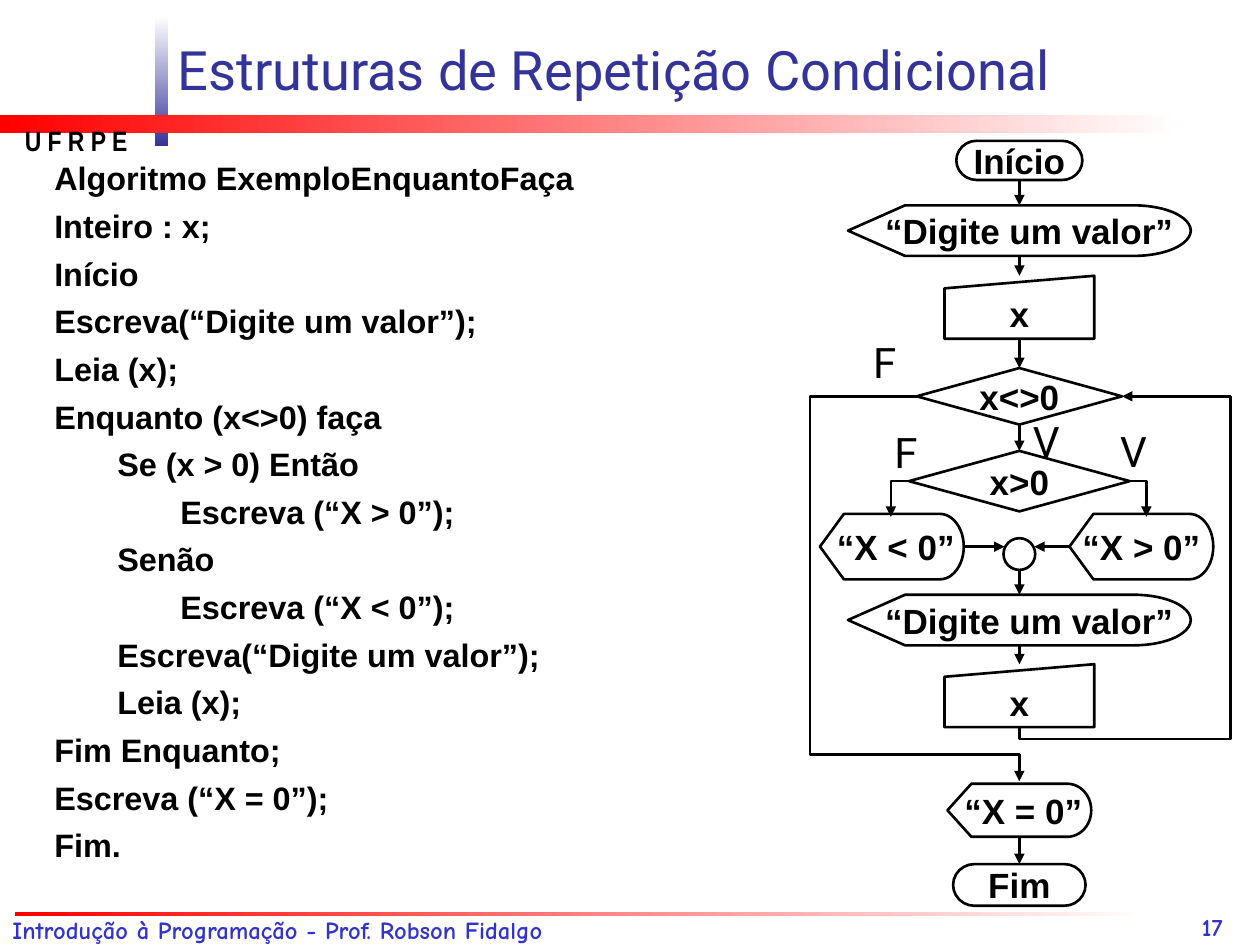
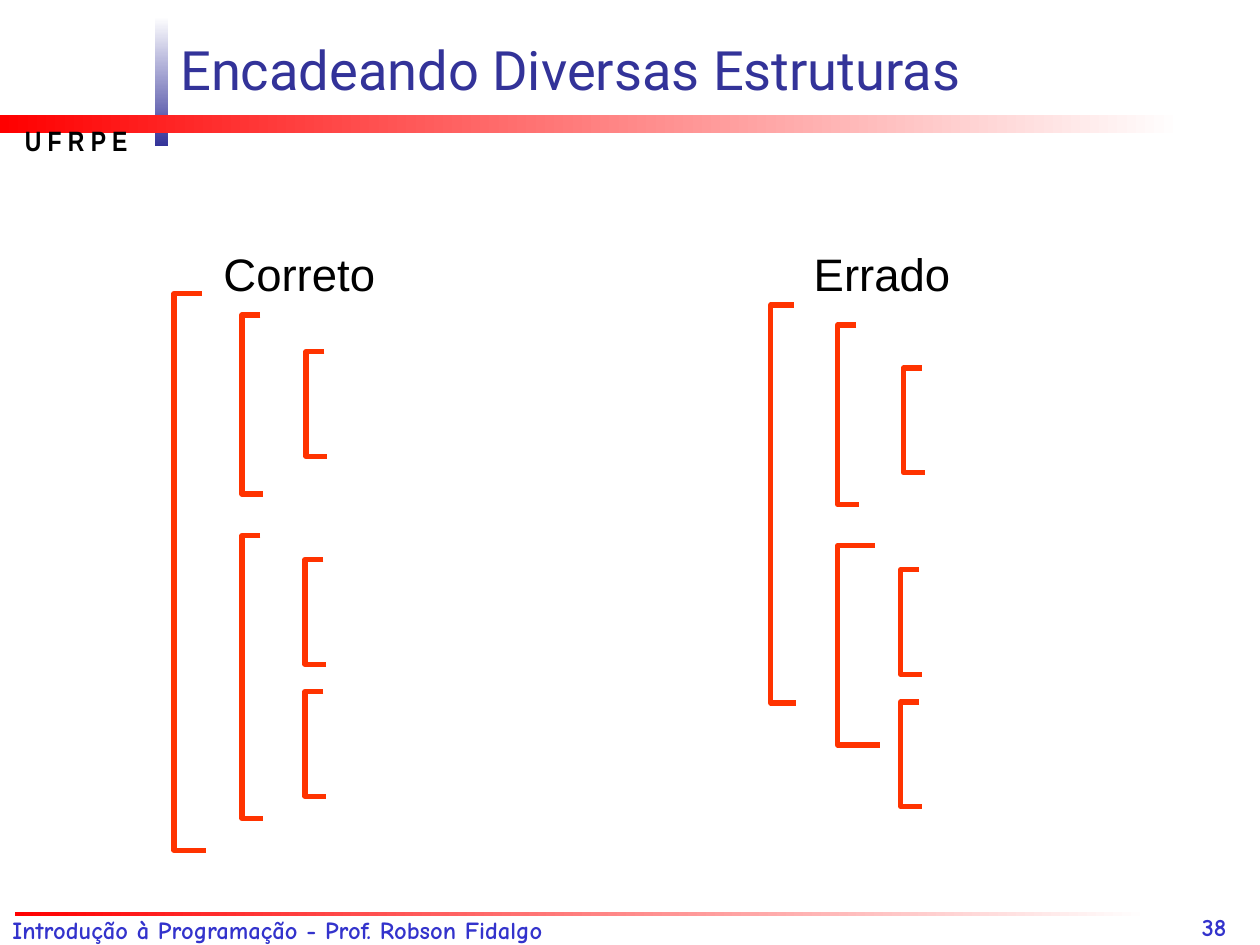
from dataclasses import dataclass

import pptx
import pptx.dml.color
import pptx.enum.shapes
import pptx.enum.text
import pptx.oxml
import pptx.oxml.ns
import pptx.util

Cm = pptx.util.Cm
Pt = pptx.util.Pt
RGBColor = pptx.dml.color.RGBColor
ShapeType = pptx.enum.shapes.MSO_SHAPE
Align = pptx.enum.text.PP_ALIGN
Anchor = pptx.enum.text.MSO_ANCHOR
Slide = pptx.slide.Slide
Box = tuple[float, float, float, float]
Point = tuple[float, float]
TOP, LEFT, BOTTOM, RIGHT = range(4)
ONE_BODY_LAYOUT, TWO_BODIES_LAYOUT = 1, 3


@dataclass(frozen=True)
class TextStyle:
    font: str
    size: float
    color: str = "000000"
    bold: bool = False


@dataclass(frozen=True)
class Theme:
    white: str = "FFFFFF"
    black: str = "000000"
    indigo: str = "333399"
    red: str = "FF0000"
    bracket: str = "FF3300"
    flow_width: float = 1.5
    bracket_width: float = 3
    title: TextStyle = TextStyle("Roboto", 31, "333399")
    code: TextStyle = TextStyle("Arial", 18.5, bold=True)
    heading: TextStyle = TextStyle("Arial", 26)
    node: TextStyle = TextStyle("Arial", 20, bold=True)
    branch: TextStyle = TextStyle("Roboto", 24)
    footer: TextStyle = TextStyle("Comic Neue", 14, "3333CC", True)
    school: TextStyle = TextStyle("Arial Narrow", 16, bold=True)


THEME = Theme()


@dataclass(frozen=True)
class Node:
    """A flowchart step, centred on a vertical axis; lengths in centimetres."""
    kind: ShapeType
    top: float
    width: float
    height: float
    text: str = ""
    center: float = 20.55
    text_shift: float = 0


@dataclass(frozen=True)
class Bracket:
    left: float
    top: float
    bottom: float
    upper_arm: float = 0.37
    lower_arm: float = 0.43


@dataclass(frozen=True)
class ColumnHeading:
    text: str
    box_left: float
    indent: float


AXIS = 20.55
DISPLAY = ShapeType.FLOWCHART_DISPLAY
TERMINATOR = ShapeType.FLOWCHART_TERMINATOR
DECISION = ShapeType.FLOWCHART_DECISION
INPUT = ShapeType.FLOWCHART_MANUAL_INPUT

NODES = {
    "start": Node(TERMINATOR, 2.84, 2.54, 0.79, "Início"),
    "prompt": Node(DISPLAY, 4.14, 6.91, 1.02, "“Digite um valor”", text_shift=0.2),
    "read": Node(INPUT, 5.56, 3.02, 1.27, "x"),
    "loop test": Node(DECISION, 7.42, 4.14, 1.14, "x<>0"),
    "sign test": Node(DECISION, 9.09, 4.45, 1.22, "x>0"),
    "negative": Node(DISPLAY, 10.36, 2.9, 1.32, "“X < 0”", 17.98, 0.08),
    "positive": Node(DISPLAY, 10.36, 2.9, 1.32, "“X > 0”", 23.01),
    "join": Node(ShapeType.FLOWCHART_CONNECTOR, 10.85, 0.64, 0.64),
    "prompt again": Node(DISPLAY, 11.99, 6.91, 1.02, "“Digite um valor”", text_shift=0.2),
    "read again": Node(INPUT, 13.39, 3.02, 1.27, "x"),
    "zero": Node(DISPLAY, 15.8, 2.9, 1.07, "“X = 0”", text_shift=0.08),
    "end": Node(TERMINATOR, 17.42, 2.67, 0.84, "Fim"),
}
DOWN_ARROWS = [
    ("start", "prompt"), ("prompt", "read"), ("read", "loop test"),
    ("loop test", "sign test"), ("prompt again", "read again"), ("zero", "end"),
]
ROUTES: list[list[Point]] = [
    [(AXIS, 14.66), (AXIS, 14.9), (24.81, 14.9), (24.81, 7.99), (22.62, 7.99)],
    [(18.48, 7.99), (16.33, 7.99), (16.33, 15.21), (AXIS, 15.21), (AXIS, 15.75)],
    [(18.33, 9.7), (17.96, 9.7), (17.96, 10.42)],
    [(22.77, 9.7), (23.11, 9.7), (23.11, 10.42)],
]
BRANCH_LABELS = [("V", 22.33, 8.46), ("F", 17.78, 8.48),
                 ("V", 20.57, 8.26), ("F", 17.35, 6.65)]
CODE_LINES = [
    (0, "Algoritmo ExemploEnquantoFaça"),
    (0, "Inteiro : x;"),
    (0, "Início"),
    (0, "Escreva(“Digite um valor”);"),
    (0, "Leia (x);"),
    (0, "Enquanto (x<>0) faça"),
    (1, "Se (x > 0) Então"),
    (2, "Escreva (“X > 0”);"),
    (1, "Senão"),
    (2, "Escreva (“X < 0”);"),
    (1, "Escreva(“Digite um valor”);"),
    (1, "Leia (x);"),
    (0, "Fim Enquanto;"),
    (0, "Escreva (“X = 0”);"),
    (0, "Fim."),
]
COLUMN_HEADINGS = [ColumnHeading("Correto", 0, 4.25), ColumnHeading("Errado", 12.7, 3.45)]
BRACKETS = [
    # Correto
    Bracket(4.88, 6.35, 9.96),
    Bracket(3.51, 5.92, 17.14, 0.56, 0.64),
    Bracket(6.17, 7.09, 9.2),
    Bracket(4.88, 10.8, 16.5),
    Bracket(6.15, 11.28, 13.39),
    Bracket(6.15, 13.94, 16.05),
    # Errado
    Bracket(16.89, 6.55, 10.17),
    Bracket(15.54, 6.15, 14.17, 0.46, 0.51),
    Bracket(18.21, 7.42, 9.53),
    Bracket(16.89, 11, 15.02, 0.74, 0.86),
    Bracket(18.16, 11.48, 13.6),
    Bracket(18.16, 14.15, 16.26),
]


def rgb(color: str) -> RGBColor:
    return RGBColor.from_string(color)


def format_paragraph(paragraph, style: TextStyle) -> None:
    for run in paragraph.runs:
        run.font.name = style.font
        run.font.size = Pt(style.size)
        run.font.bold = style.bold
        run.font.color.rgb = rgb(style.color)


def append_xml(parent, tag: str, **attributes: str) -> None:
    child = pptx.oxml.parse_xml(f"<a:{tag} {pptx.oxml.ns.nsdecls('a')}/>")
    for name, value in attributes.items():
        child.set(name, value)
    parent.append(child)


def style_line(shape, color: str, width: float, arrow: bool = False) -> None:
    shape.line.color.rgb = rgb(color)
    shape.line.width = Pt(width)
    if arrow:
        append_xml(shape.line._get_or_add_ln(), "tailEnd", type="triangle")


def place(shape, box: Box) -> None:
    shape.left, shape.top, shape.width, shape.height = map(Cm, box)


def add_label(slide: Slide, text: str, box: Box, style: TextStyle,
              wrap: bool = False, anchor: Anchor = Anchor.TOP) -> None:
    text_frame = slide.shapes.add_textbox(*map(Cm, box)).text_frame
    text_frame.word_wrap = wrap
    text_frame.vertical_anchor = anchor
    text_frame.text = text
    format_paragraph(text_frame.paragraphs[0], style)


def add_gradient_bar(slide: Slide, box: Box, first: str, last: str, angle: float) -> None:
    bar = slide.shapes.add_shape(ShapeType.RECTANGLE, *map(Cm, box))
    bar.shadow.inherit = False
    bar.line.fill.background()
    bar.fill.gradient()
    bar.fill.gradient_angle = angle
    for stop, color in zip(bar.fill.gradient_stops, (first, last)):
        stop.color.rgb = rgb(color)


def add_themed_slide(presentation, layout: int, title: str, title_left: float,
                     number: int) -> Slide:
    """Add a slide with the shared bands, footer, page number and title."""
    slide = presentation.slides.add_slide(presentation.slide_layouts[layout])
    add_gradient_bar(slide, (3.12, 0.33, 0.26, 2.62), THEME.white, THEME.indigo, 270)
    add_gradient_bar(slide, (0, 2.32, 23.83, 0.36), THEME.red, THEME.white, 0)
    add_gradient_bar(slide, (0.3, 18.39, 22.86, 0.08), THEME.red, THEME.white, 0)
    add_label(slide, "Introdução à Programação - Prof. Robson Fidalgo",
              (0, 18.32, 15.93, 0.86), THEME.footer, wrap=True)
    add_label(slide, "U F R P E", (0.25, 2.36, 2.59, 0.94), THEME.school)
    add_label(slide, str(number), (23.98, 17.83, 2.11, 1.27), THEME.footer,
              wrap=True, anchor=Anchor.BOTTOM)

    heading = slide.shapes.title
    place(heading, (title_left, 0.45, 23.3, 1.73))
    text_frame = heading.text_frame
    text_frame.text = title
    text_frame.auto_size = pptx.enum.text.MSO_AUTO_SIZE.NONE
    text_frame.vertical_anchor = Anchor.BOTTOM
    text_frame.paragraphs[0].alignment = Align.LEFT
    format_paragraph(text_frame.paragraphs[0], THEME.title)
    return slide


def fill_body(body, box: Box, lines: list[tuple[int, str]], style: TextStyle,
              alignment: Align = Align.LEFT, indent: float = 0) -> None:
    """Write unbulleted (level, text) lines in a body placeholder."""
    place(body, box)
    text_frame = body.text_frame
    text_frame.text = "\n".join(text for _, text in lines)
    text_frame.auto_size = pptx.enum.text.MSO_AUTO_SIZE.NONE
    for paragraph, (level, _) in zip(text_frame.paragraphs, lines):
        paragraph.level = level
        paragraph.alignment = alignment
        paragraph.space_before = Pt(5)
        format_paragraph(paragraph, style)
        properties = paragraph._p.get_or_add_pPr()
        properties.set("marL", str(Cm(indent + 1.27 * level)))
        properties.set("indent", "0")
        append_xml(properties, "buNone")


def add_node(slide: Slide, node: Node):
    shape = slide.shapes.add_shape(
        node.kind, Cm(node.center - node.width / 2), Cm(node.top),
        Cm(node.width), Cm(node.height))
    shape.shadow.inherit = False
    shape.fill.solid()
    shape.fill.fore_color.rgb = rgb(THEME.white)
    style_line(shape, THEME.black, THEME.flow_width)
    if node.text:
        text_frame = shape.text_frame
        text_frame.word_wrap = False
        text_frame.vertical_anchor = Anchor.MIDDLE
        text_frame.margin_left = Cm(2 * node.text_shift)
        text_frame.margin_right = text_frame.margin_top = text_frame.margin_bottom = 0
        text_frame.text = node.text
        text_frame.paragraphs[0].alignment = Align.CENTER
        format_paragraph(text_frame.paragraphs[0], THEME.node)
    return shape


def add_arrow(slide: Slide, start: Point = (0, 0), end: Point = (0, 0),
              source=None, source_side: int = BOTTOM, target=None) -> None:
    """Draw a straight arrow; a given source or target shape overrides that end."""
    arrow = slide.shapes.add_connector(
        pptx.enum.shapes.MSO_CONNECTOR.STRAIGHT, *map(Cm, start + end))
    if source is not None:
        arrow.begin_connect(source, source_side)
    if target is not None:
        arrow.end_connect(target, TOP)
    style_line(arrow, THEME.black, THEME.flow_width, arrow=True)
    append_xml(arrow._element.spPr, "effectLst")


def add_polyline(slide: Slide, points: list[Point], color: str, width: float,
                 arrow: bool = False) -> None:
    corners = [(Cm(x), Cm(y)) for x, y in points]
    builder = slide.shapes.build_freeform(*corners[0])
    builder.add_line_segments(corners[1:], close=False)
    shape = builder.convert_to_shape()
    shape.shadow.inherit = False
    shape.fill.background()
    style_line(shape, color, width, arrow)


def add_bracket(slide: Slide, bracket: Bracket) -> None:
    points = [(bracket.left + bracket.upper_arm, bracket.top),
              (bracket.left, bracket.top),
              (bracket.left, bracket.bottom),
              (bracket.left + bracket.lower_arm, bracket.bottom)]
    add_polyline(slide, points, THEME.bracket, THEME.bracket_width)


def build_loop_slide(presentation) -> None:
    slide = add_themed_slide(presentation, ONE_BODY_LAYOUT,
                             "Estruturas de Repetição Condicional", 3.33, 17)
    fill_body(slide.placeholders[1], (0.84, 3.07, 23.93, 15.04), CODE_LINES,
              THEME.code, Align.JUSTIFY)
    shapes = {name: add_node(slide, node) for name, node in NODES.items()}
    for source, target in DOWN_ARROWS:
        add_arrow(slide, source=shapes[source], target=shapes[target])
    add_arrow(slide, start=(AXIS, 11.49), target=shapes["prompt again"])
    add_arrow(slide, end=(20.25, 11.02), source=shapes["negative"], source_side=RIGHT)
    add_arrow(slide, end=(20.85, 11.02), source=shapes["positive"], source_side=LEFT)
    for points in ROUTES:
        add_polyline(slide, points, THEME.black, THEME.flow_width, arrow=True)
    for text, left, top in BRANCH_LABELS:
        add_label(slide, text, (left, top, 1.02, 1.27), THEME.branch)


def build_nesting_slide(presentation) -> None:
    slide = add_themed_slide(presentation, TWO_BODIES_LAYOUT,
                             "Encadeando Diversas Estruturas", 3.38, 38)
    for index, heading in enumerate(COLUMN_HEADINGS, start=1):
        body = slide.placeholders[index]
        fill_body(body, (heading.box_left, 3.18, 12.7, 15.04), [(0, heading.text)],
                  THEME.heading, indent=heading.indent)
        body.text_frame.margin_top = Cm(1.78)
    for bracket in BRACKETS:
        add_bracket(slide, bracket)


def main() -> None:
    presentation = pptx.Presentation()
    presentation.slide_width, presentation.slide_height = Cm(25.4), Cm(19.05)
    build_loop_slide(presentation)
    build_nesting_slide(presentation)
    presentation.save("out.pptx")


if __name__ == "__main__":
    main()
